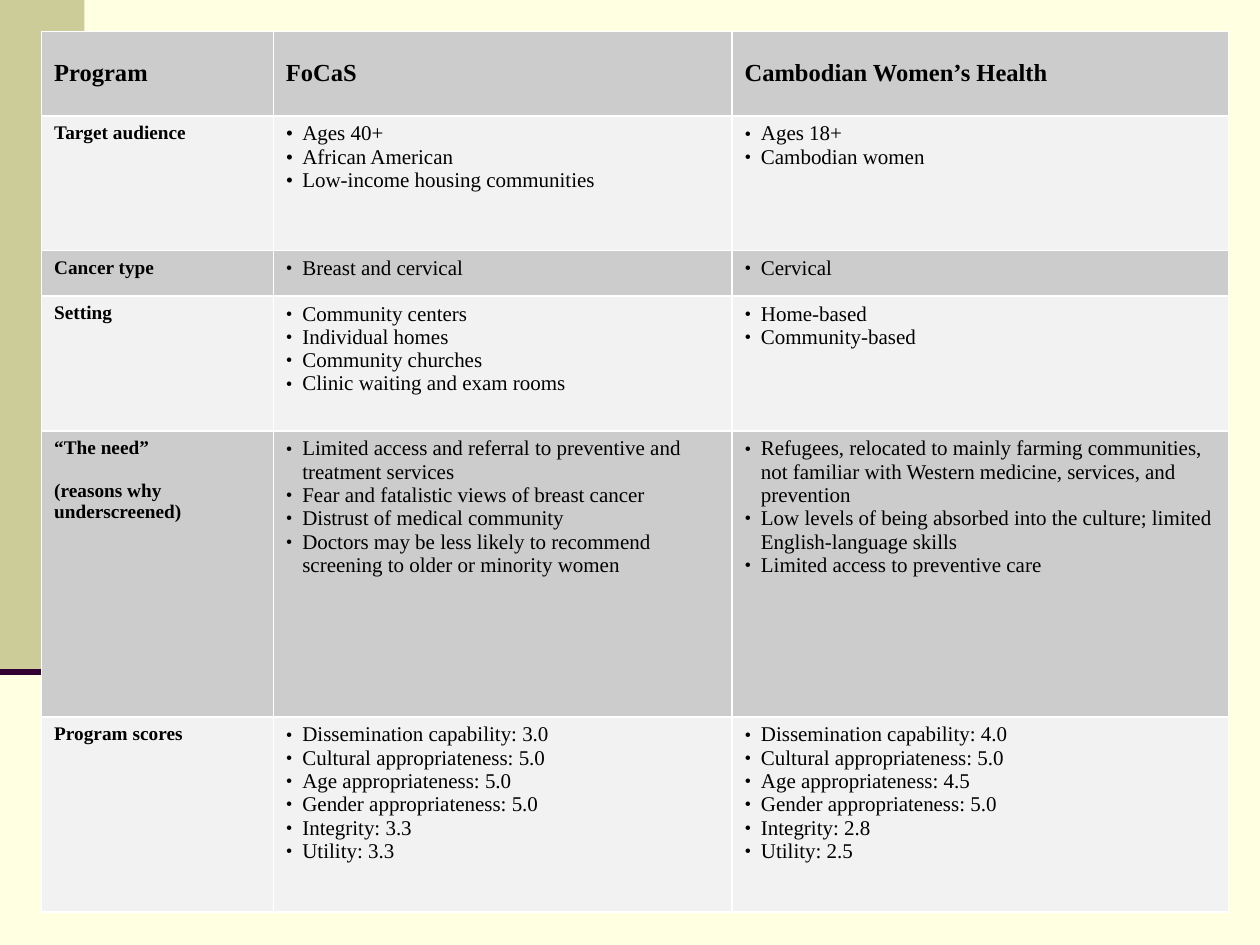
import pptx
import pptx.util
import pptx.dml.color
import pptx.enum.shapes
import pptx.enum.text
import pptx.oxml
import pptx.oxml.ns
import lxml.etree

Inches = pptx.util.Inches
Pt = pptx.util.Pt
qn = pptx.oxml.ns.qn

FONT = "Times New Roman"
INK, PAGE, OLIVE, PLUM = "000000", "FFFFE1", "CCCC99", "330033"
DARK_BAND, LIGHT_BAND, GRID = "CCCCCC", "F2F2F2", "FFFFFF"
COLUMN_WIDTHS = [1.84, 3.64, 3.94]
ROW_HEIGHTS = [0.67, 1.07, 0.36, 1.07, 2.27, 1.55]
HEADINGS = ["Program", "FoCaS", "Cambodian Women’s Health"]
COMPARISON = [
    (["Target audience"],
     ["Ages 40+", "African American", "Low-income housing communities"],
     ["Ages 18+", "Cambodian women"]),
    (["Cancer type"], ["Breast and cervical"], ["Cervical"]),
    (["Setting"],
     ["Community centers", "Individual homes", "Community churches",
      "Clinic waiting and exam rooms"],
     ["Home-based", "Community-based"]),
    (["“The need”", "(reasons why underscreened)"],
     ["Limited access and referral to preventive and treatment services",
      "Fear and fatalistic views of breast cancer",
      "Distrust of medical community",
      "Doctors may be less likely to recommend screening to older or minority women"],
     ["Refugees, relocated to mainly farming communities, not familiar with "
      "Western medicine, services, and prevention",
      "Low levels of being absorbed into the culture; limited English-language skills",
      "Limited access to preventive care"]),
]
CRITERIA = ["Dissemination capability", "Cultural appropriateness", "Age appropriateness",
            "Gender appropriateness", "Integrity", "Utility"]
SCORES = [["3.0", "5.0", "5.0", "5.0", "3.3", "3.3"],
          ["4.0", "5.0", "4.5", "5.0", "2.8", "2.5"]]


def color(hex_code):
    return pptx.dml.color.RGBColor.from_string(hex_code)


def add_bullet(paragraph, percent):
    properties = paragraph._p.get_or_add_pPr()
    properties.set("marL", str(Inches(0.13)))
    properties.set("indent", str(-Inches(0.13)))
    bullet_color = lxml.etree.SubElement(properties, qn("a:buClr"))
    lxml.etree.SubElement(bullet_color, qn("a:srgbClr"), val=INK)
    lxml.etree.SubElement(properties, qn("a:buSzPct"), val=str(percent * 1000))
    lxml.etree.SubElement(properties, qn("a:buFont"), typeface=FONT)
    lxml.etree.SubElement(properties, qn("a:buChar"), char="•")


def add_borders(cell, sides):
    for position, side in enumerate(sides):
        border = lxml.etree.Element(qn("a:ln" + side), w=str(Pt(0.96)))
        border_fill = lxml.etree.SubElement(border, qn("a:solidFill"))
        lxml.etree.SubElement(border_fill, qn("a:srgbClr"), val=GRID)
        cell._tc.get_or_add_tcPr().insert(position, border)


def write_cell(cell, lines, size, bold, bullet_percent=None):
    frame = cell.text_frame
    for index, line in enumerate(lines):
        paragraph = frame.paragraphs[0] if index == 0 else frame.add_paragraph()
        paragraph.text = line
        if bullet_percent:
            add_bullet(paragraph, bullet_percent)
        elif index:
            paragraph.space_before = Pt(12.2)
        paragraph.font.name = FONT
        paragraph.font.size = Pt(size)
        paragraph.font.bold = bold
        paragraph.font.color.rgb = color(INK)


def add_backdrop(slide):
    slide.background.fill.solid()
    slide.background.fill.fore_color.rgb = color(PAGE)
    side_band = slide.shapes.add_shape(pptx.enum.shapes.MSO_SHAPE.RECTANGLE,
                                       0, 0, Inches(0.67), Inches(5.33))
    side_band.shadow.inherit = False
    side_band.fill.solid()
    side_band.fill.fore_color.rgb = color(OLIVE)
    side_band.line.fill.background()
    band_rule = slide.shapes.add_connector(pptx.enum.shapes.MSO_CONNECTOR.STRAIGHT,
                                           0, Inches(5.33), Inches(0.67), Inches(5.33))
    band_rule.line.color.rgb = color(PLUM)
    band_rule.line.width = Pt(3.5)
    lxml.etree.SubElement(band_rule._element.spPr, qn("a:effectLst"))


def add_comparison(slide):
    score_lists = [[f"{name}: {score}" for name, score in zip(CRITERIA, scores)]
                   for scores in SCORES]
    rows = [[[heading] for heading in HEADINGS], *COMPARISON,
            (["Program scores"], *score_lists)]
    last_row, last_column = len(rows) - 1, len(HEADINGS) - 1
    programs = slide.shapes.add_table(
        len(rows), len(HEADINGS), Inches(0.33), Inches(0.25),
        Inches(sum(COLUMN_WIDTHS)), Inches(sum(ROW_HEIGHTS))).table
    programs.first_row = programs.horz_banding = False
    for column, width in zip(programs.columns, COLUMN_WIDTHS):
        column.width = Inches(width)
    for r, (entries, height) in enumerate(zip(rows, ROW_HEIGHTS)):
        programs.rows[r].height = Inches(height)
        for c, lines in enumerate(entries):
            cell = programs.cell(r, c)
            cell.fill.solid()
            cell.fill.fore_color.rgb = color(LIGHT_BAND if r % 2 else DARK_BAND)
            inner_sides = {"L": c > 0, "R": c < last_column, "T": r > 0, "B": r < last_row}
            add_borders(cell, [side for side, inner in inner_sides.items() if inner])
            if r == 0:
                cell.vertical_anchor = pptx.enum.text.MSO_ANCHOR.MIDDLE
                write_cell(cell, lines, 14, True)
            elif c == 0:
                write_cell(cell, lines, 11, True)
            else:
                write_cell(cell, lines, 12, False, 100 if (r, c) == (1, 1) else 90)


def main():
    deck = pptx.Presentation()
    deck.slide_width, deck.slide_height = Inches(10), Inches(7.5)
    slide = deck.slides.add_slide(deck.slide_layouts[6])
    add_backdrop(slide)
    add_comparison(slide)
    deck.save("out.pptx")


if __name__ == "__main__":
    main()
